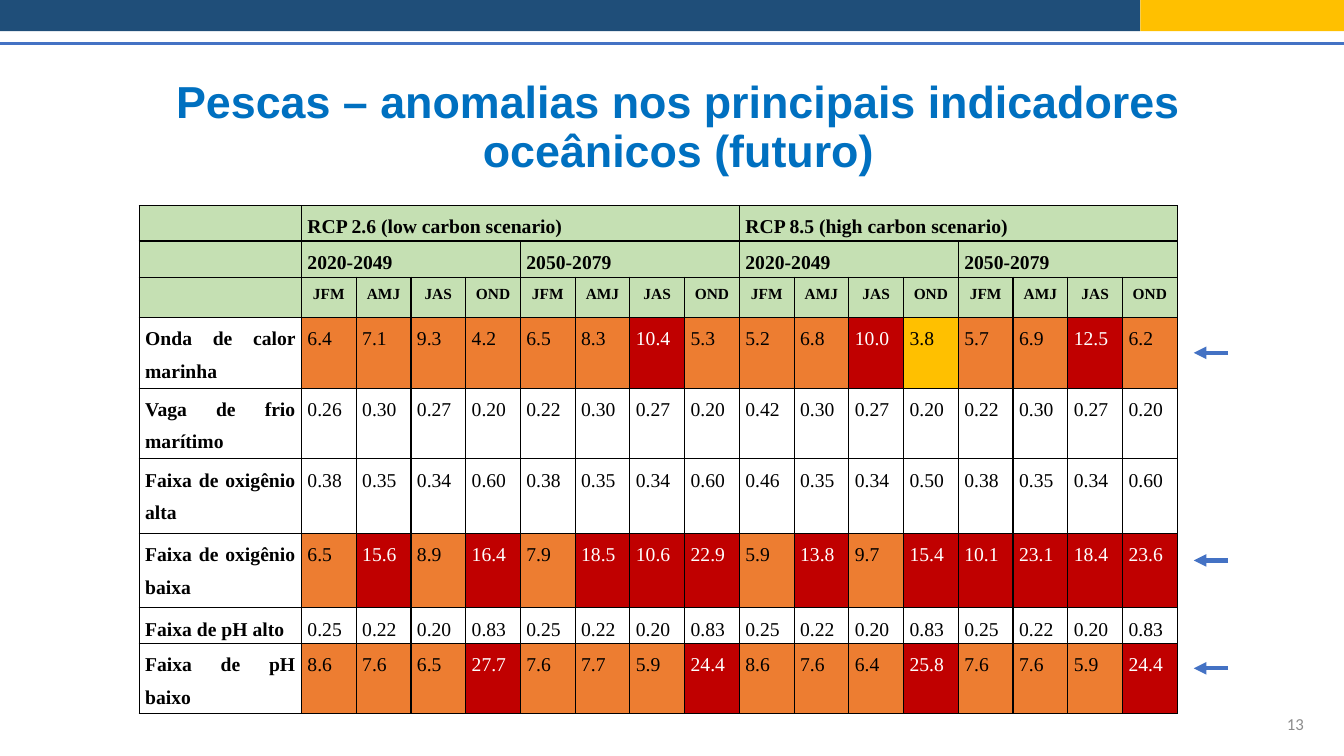
from lxml import etree
from pptx import Presentation
from pptx.dml.color import RGBColor
from pptx.enum.shapes import MSO_CONNECTOR, MSO_SHAPE
from pptx.enum.text import MSO_ANCHOR, MSO_AUTO_SIZE, PP_ALIGN
from pptx.oxml.ns import qn
from pptx.util import Inches, Pt

STRAIGHT = MSO_CONNECTOR.STRAIGHT
RECTANGLE = MSO_SHAPE.RECTANGLE
MIDDLE = MSO_ANCHOR.MIDDLE
NO_AUTOFIT = MSO_AUTO_SIZE.NONE
CENTER, RIGHT, JUSTIFY = PP_ALIGN.CENTER, PP_ALIGN.RIGHT, PP_ALIGN.JUSTIFY

BLACK, WHITE, NAVY, BLUE = "000000", "FFFFFF", "1F4E79", "4472C4"
TITLE_BLUE, GRAY, GREEN = "0070C0", "8C8C8C", "C5E0B3"
RED, ORANGE, YELLOW = "C00000", "ED7D31", "FFC000"

SCENARIOS = ["RCP 2.6 (low carbon scenario)", "RCP 8.5 (high carbon scenario)"]
PERIODS = ["2020-2049", "2050-2079"]
QUARTERS = ["JFM", "AMJ", "JAS", "OND"]
INDICATORS = {
    "Onda de calor marinha":
        "6.4 7.1 9.3 4.2 6.5 8.3 10.4 5.3 5.2 6.8 10.0 3.8 5.7 6.9 12.5 6.2",
    "Vaga de frio marítimo":
        "0.26 0.30 0.27 0.20 0.22 0.30 0.27 0.20 0.42 0.30 0.27 0.20 0.22 0.30 0.27 0.20",
    "Faixa de oxigênio alta":
        "0.38 0.35 0.34 0.60 0.38 0.35 0.34 0.60 0.46 0.35 0.34 0.50 0.38 0.35 0.34 0.60",
    "Faixa de oxigênio baixa":
        "6.5 15.6 8.9 16.4 7.9 18.5 10.6 22.9 5.9 13.8 9.7 15.4 10.1 23.1 18.4 23.6",
    "Faixa de pH alto":
        "0.25 0.22 0.20 0.83 0.25 0.22 0.20 0.83 0.25 0.22 0.20 0.83 0.25 0.22 0.20 0.83",
    "Faixa de pH baixo":
        "8.6 7.6 6.5 27.7 7.6 7.7 5.9 24.4 8.6 7.6 6.4 25.8 7.6 7.6 5.9 24.4",
}
ROW_HEIGHTS = [0.35, 0.36, 0.4, 0.59, 0.59, 0.74, 0.74, 0.35, 0.59]
LABEL_WIDTH, TABLE_WIDTH = 1.61, 10.3
ARROW_HEIGHTS = [3.5, 5.56, 6.63]


def color(value):
    return RGBColor.from_string(value)


def apply(target, values):
    for name, value in values.items():
        setattr(target, name, value)


def write_text(frame, text, font_name, size, font_color, bold=False, **paragraph_format):
    paragraph = frame.paragraphs[0]
    apply(paragraph, paragraph_format)
    run = paragraph.add_run()
    run.text = text
    apply(run.font, {"name": font_name, "size": Pt(size), "bold": bold})
    run.font.color.rgb = color(font_color)


def place(shape, left, top, width, height):
    apply(shape, {"left": Inches(left), "top": Inches(top),
                  "width": Inches(width), "height": Inches(height)})


def add_title(slide, text):
    title = slide.shapes.title
    place(title, 0.92, 0.55, 11.62, 1.45)
    apply(title.text_frame, {"word_wrap": True, "auto_size": NO_AUTOFIT,
                             "vertical_anchor": MIDDLE})
    write_text(title.text_frame, text, "Arial", 32, TITLE_BLUE, True,
               alignment=CENTER, line_spacing=0.9)


def add_page_number(slide, text):
    box = slide.shapes.add_textbox(Inches(10.03), Inches(6.98), Inches(3), Inches(0.4))
    apply(box.text_frame, {"word_wrap": True, "vertical_anchor": MIDDLE})
    write_text(box.text_frame, text, "Calibri", 12, GRAY, alignment=RIGHT)


def add_bar(group, left, width, fill):
    bar = group.shapes.add_shape(RECTANGLE, Inches(left), Inches(-0.04),
                                 Inches(width), Inches(0.35))
    bar.shadow.inherit = False
    bar.fill.solid()
    bar.fill.fore_color.rgb = color(fill)
    bar.line.fill.background()


def add_line(slide, start, end, top, width, arrow=False):
    connector = slide.shapes.add_connector(STRAIGHT, Inches(start), Inches(top),
                                           Inches(end), Inches(top))
    connector.line.color.rgb = color(BLUE)
    connector.line.width = Pt(width)
    properties = connector._element.spPr
    if arrow:
        etree.SubElement(properties.find(qn("a:ln")), qn("a:tailEnd"), type="triangle")
    etree.SubElement(properties, qn("a:effectLst"))


def add_borders(cell):
    properties = cell._tc.get_or_add_tcPr()
    for side in ("a:lnL", "a:lnR", "a:lnT", "a:lnB"):
        border = etree.SubElement(properties, qn(side), w=str(Pt(1)))
        fill = etree.SubElement(border, qn("a:solidFill"))
        etree.SubElement(fill, qn("a:srgbClr"), val=BLACK)


def format_cell(cell, fill):
    apply(cell, {"margin_left": Inches(0.06), "margin_right": Inches(0.06),
                 "margin_top": 0, "margin_bottom": 0})
    add_borders(cell)
    if fill:
        cell.fill.solid()
        cell.fill.fore_color.rgb = color(fill)
    else:
        cell.fill.background()


def write_cell(cell, text, size=14, font_color=BLACK, bold=True, alignment=JUSTIFY):
    write_text(cell.text_frame, text, "Times New Roman", size, font_color, bold,
               alignment=alignment, line_spacing=1.5, space_after=Pt(8))


def anomaly_fill(value):
    for limit, fill in ((10, RED), (4, ORANGE), (1, YELLOW)):
        if value >= limit:
            return fill
    return None


def write_spanning_headers(table, row, labels, span):
    for index, label in enumerate(labels):
        first = 1 + index * span
        table.cell(row, first).merge(table.cell(row, first + span - 1))
        write_cell(table.cell(row, first), label)


def add_anomaly_table(slide):
    quarters = QUARTERS * len(PERIODS) * len(SCENARIOS)
    count = len(quarters)
    table = slide.shapes.add_table(len(ROW_HEIGHTS), count + 1, Inches(1.38), Inches(2.04),
                                   Inches(TABLE_WIDTH), Inches(sum(ROW_HEIGHTS))).table
    apply(table, {"first_row": False, "horz_banding": False})
    for row, height in zip(table.rows, ROW_HEIGHTS):
        row.height = Inches(height)
    for column in table.columns:
        column.width = Inches((TABLE_WIDTH - LABEL_WIDTH) / count)
    table.columns[0].width = Inches(LABEL_WIDTH)

    for row in range(3):
        for column in range(count + 1):
            format_cell(table.cell(row, column), GREEN)
    write_spanning_headers(table, 0, SCENARIOS, 8)
    write_spanning_headers(table, 1, PERIODS * len(SCENARIOS), 4)
    for column, quarter in enumerate(quarters, 1):
        write_cell(table.cell(2, column), quarter, size=11, alignment=CENTER)

    for row, (indicator, values) in enumerate(INDICATORS.items(), 3):
        format_cell(table.cell(row, 0), None)
        write_cell(table.cell(row, 0), indicator)
        for column, value in enumerate(values.split(), 1):
            fill = anomaly_fill(float(value))
            format_cell(table.cell(row, column), fill)
            write_cell(table.cell(row, column), value, bold=False,
                       font_color=WHITE if fill == RED else BLACK)


def main():
    presentation = Presentation()
    apply(presentation, {"slide_width": Inches(13.33), "slide_height": Inches(7.5)})
    slide = presentation.slides.add_slide(presentation.slide_layouts[5])
    add_title(slide, "Pescas – anomalias nos principais indicadores oceânicos (futuro)")
    add_page_number(slide, "13")
    header = slide.shapes.add_group_shape()
    add_bar(header, -0.02, 11.33, NAVY)
    add_bar(header, 11.31, 2.22, YELLOW)
    add_line(slide, -0.02, 13.33, 0.43, 2.25)
    add_anomaly_table(slide)
    for top in ARROW_HEIGHTS:
        add_line(slide, 12.18, 11.84, top, 3, arrow=True)
    presentation.save("out.pptx")


if __name__ == "__main__":
    main()
